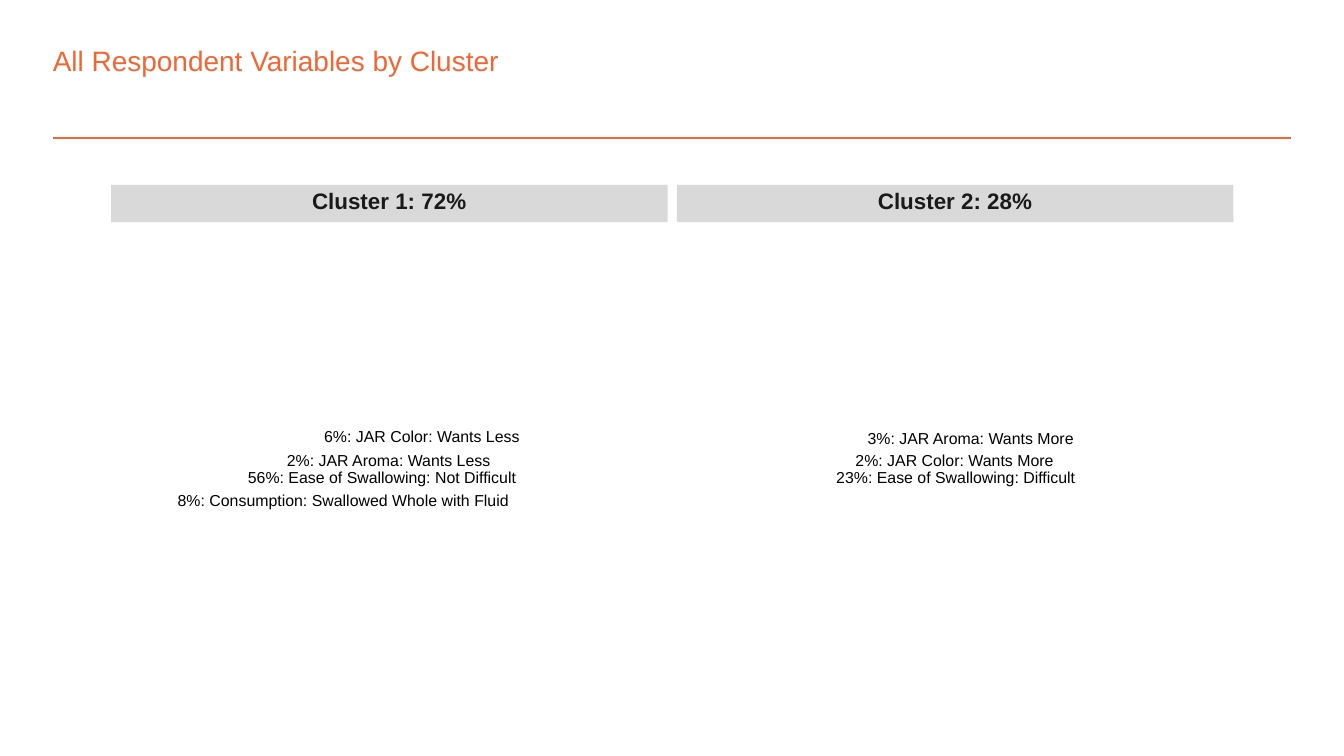
import pptx
import pptx.util
import pptx.dml.color
import pptx.enum.shapes
import pptx.enum.text
import pptx.oxml.ns
import lxml.etree
from dataclasses import dataclass

WIDTH = 10
HEIGHT = WIDTH * 9 / 16
TITLE_ONLY = 5


@dataclass(frozen=True)
class Theme:
    font: str = "Arial"
    accent: str = "F36633"
    paper: str = "FFFFFF"
    band: str = "D9D9D9"
    heading: str = "1A1A1A"
    ink: str = "000000"
    title_size: float = 15
    heading_size: float = 12
    label_size: float = 8.5


THEME = Theme()
BAND_LEFT, BAND_STEP, BAND_WIDTH = 8.27, 42.1, 41.4
HEADING_WIDTH = 11.5
HEADING_INSET = (BAND_WIDTH - HEADING_WIDTH) / 2
CLUSTERS = [
    ("Cluster 1: 72%", [
        ("2%: JAR Aroma: Wants Less", 21.35, 60.27, 15.3, 1.6),
        ("56%: Ease of Swallowing: Not Difficult", 18.45, 62.4, 20, 1.96),
        ("6%: JAR Color: Wants Less", 24.12, 57.15, 14.6, 1.6),
        ("8%: Consumption: Swallowed Whole with Fluid", 13.22, 65.42, 24.7, 1.96),
    ]),
    ("Cluster 2: 28%", [
        ("2%: JAR Color: Wants More", 63.65, 60.27, 14.8, 1.6),
        ("23%: Ease of Swallowing: Difficult", 62.22, 62.4, 17.9, 1.96),
        ("3%: JAR Aroma: Wants More", 64.55, 57.32, 15.5, 1.6),
    ]),
]


def across(percent):
    return pptx.util.Inches(WIDTH * percent / 100)


def down(percent):
    return pptx.util.Inches(HEIGHT * percent / 100)


def area(left, top, width, height):
    return across(left), down(top), across(width), down(height)


def rgb(color):
    return pptx.dml.color.RGBColor.from_string(color)


def write(holder, text, *, size, color, bold=False, wrap=False, spacing=None,
          anchor=pptx.enum.text.MSO_ANCHOR.MIDDLE):
    frame = holder.text_frame
    frame.margin_left = frame.margin_right = 0
    frame.margin_top = frame.margin_bottom = 0
    frame.word_wrap = wrap
    frame.vertical_anchor = anchor
    paragraph = frame.paragraphs[0]
    paragraph.alignment = pptx.enum.text.PP_ALIGN.LEFT
    if spacing:
        paragraph.line_spacing = pptx.util.Pt(spacing)
    run = paragraph.add_run()
    run.text = text
    run.font.name = THEME.font
    run.font.size = pptx.util.Pt(size)
    run.font.bold = bold
    run.font.color.rgb = rgb(color)


def add_title(slide, text):
    title = slide.shapes.title
    title.left, title.top, title.width, title.height = area(3.93, 5.69, 82.9, 4.44)
    write(title, text, size=THEME.title_size, color=THEME.accent, wrap=True,
          anchor=pptx.enum.text.MSO_ANCHOR.TOP)


def add_rule(slide):
    level = down(18.31)
    rule = slide.shapes.add_connector(
        pptx.enum.shapes.MSO_CONNECTOR.STRAIGHT, across(3.93), level, across(96.07), level)
    rule.line.color.rgb = rgb(THEME.accent)
    rule.line.width = pptx.util.Pt(1)
    properties = rule._element.spPr
    lxml.etree.SubElement(properties, pptx.oxml.ns.qn("a:effectLst"))


def add_block(shapes, box, fill, outline=None):
    block = shapes.add_shape(pptx.enum.shapes.MSO_SHAPE.RECTANGLE, *area(*box))
    block.shadow.inherit = False
    block.fill.solid()
    block.fill.fore_color.rgb = rgb(fill)
    if outline:
        block.line.color.rgb = rgb(outline)
        block.line.width = pptx.util.Pt(0.75)
    else:
        block.line.fill.background()


def add_label(shapes, text, box, **style):
    write(shapes.add_textbox(*area(*box)), text, spacing=style["size"], **style)


def main():
    presentation = pptx.Presentation()
    presentation.slide_width = across(100)
    presentation.slide_height = down(100)
    slide = presentation.slides.add_slide(presentation.slide_layouts[TITLE_ONLY])
    add_title(slide, "All Respondent Variables by Cluster")
    add_rule(slide)

    plot = slide.shapes.add_group_shape().shapes
    add_block(plot, (7.5, 23.11, 85, 71.11), THEME.paper, outline=THEME.paper)
    for column, (heading, variables) in enumerate(CLUSTERS):
        for variable, *box in variables:
            add_label(plot, variable, box, size=THEME.label_size, color=THEME.ink)
        left = BAND_LEFT + column * BAND_STEP
        add_block(plot, (left, 24.47, BAND_WIDTH, 4.93), THEME.band)
        add_label(plot, heading, (left + HEADING_INSET, 25.7, HEADING_WIDTH, 2.31),
                  size=THEME.heading_size, color=THEME.heading, bold=True)
    presentation.save("out.pptx")


if __name__ == "__main__":
    main()
